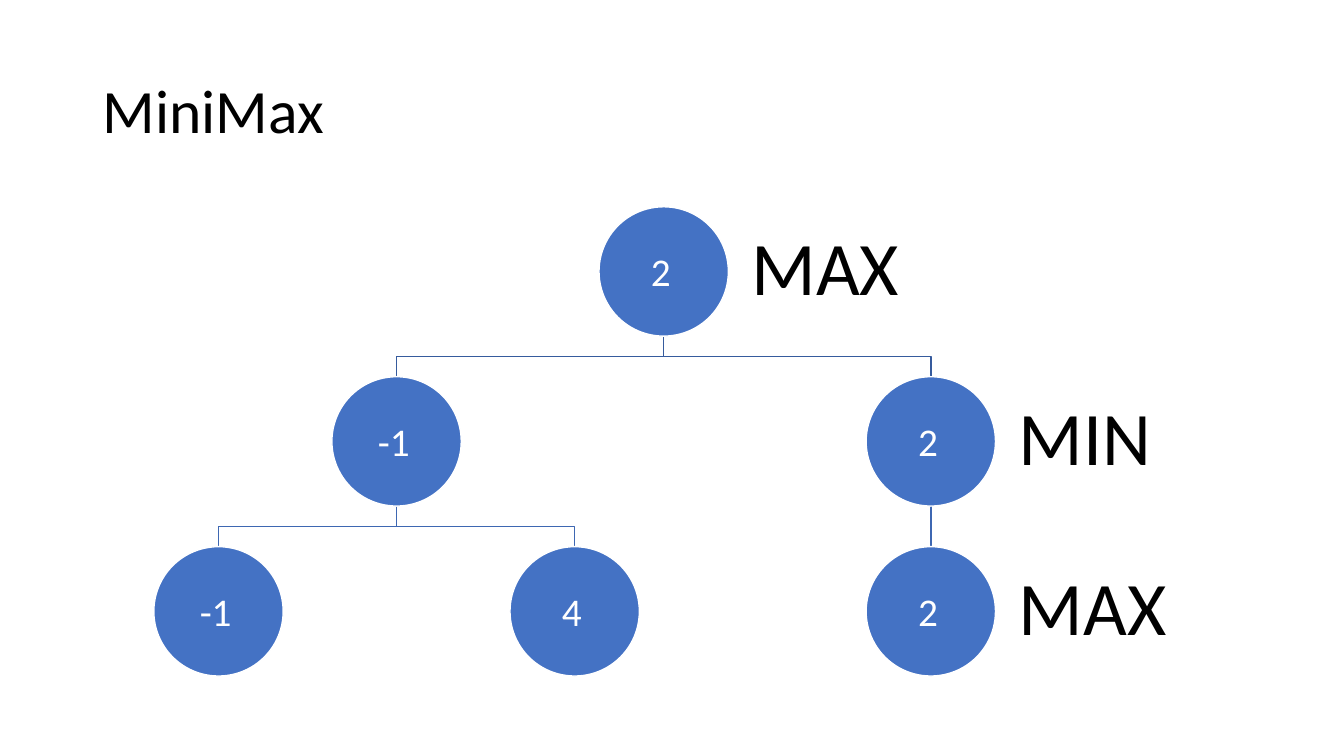
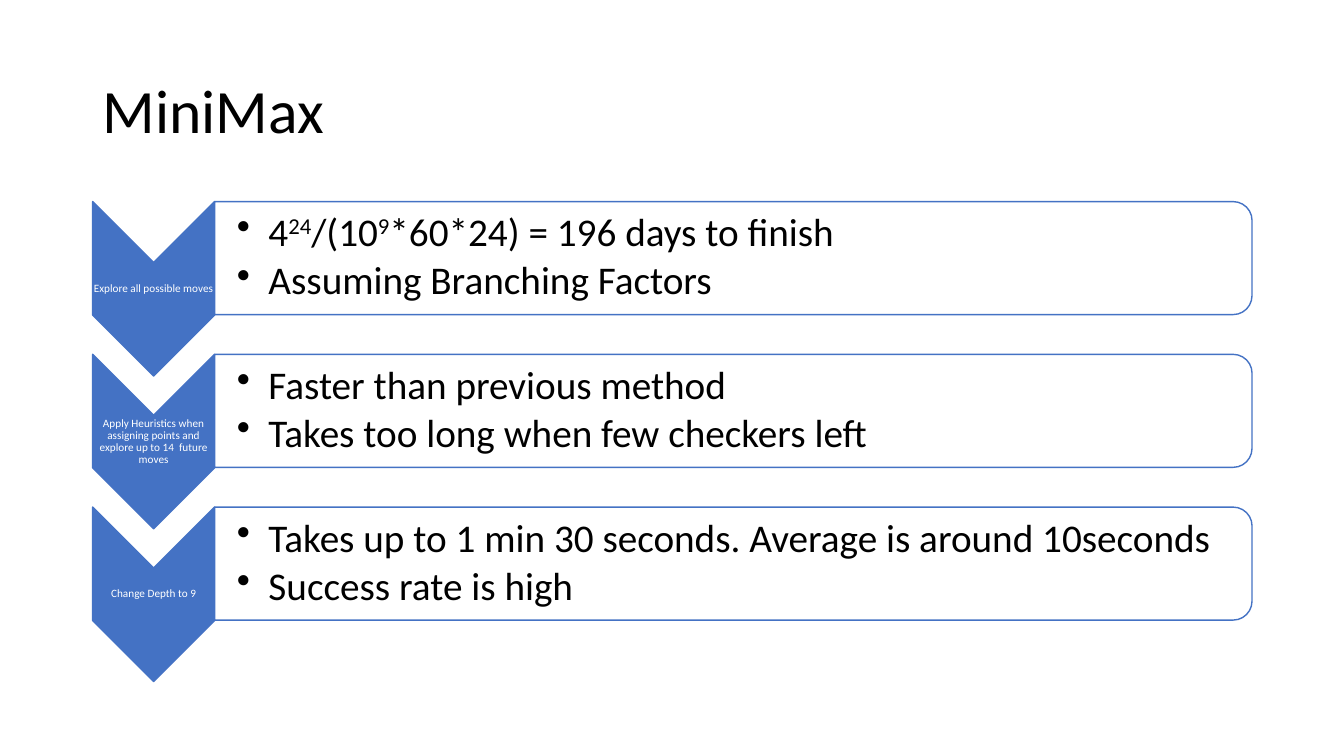
from pptx import Presentation
from pptx import util as u
from pptx.dml.color import RGBColor
from pptx.enum import shapes, text
from pptx.oxml import parse_xml
from pptx.oxml.ns import nsdecls

Pt = u.Pt
FONT = "Calibri"
COLORS = {
    "ink": "000000",
    "paper": "FFFFFF",
    "accent": "4472C4",
    "edge_top": "365B9D",
    "edge_low": "3E67B2",
}

# Tree grid: circle centres sit at multiples of one column unit
CIRCLE = 92.4
COL_X, COL_STEP = 156.1, 127.2
ROW_Y, ROW_STEP = 147.7, 121.4
NODES = {  # name: (column, row, value)
    "root": (2.5, 0, "2"),
    "left": (1, 1, "-1"),
    "right": (4, 1, "2"),
    "left_a": (0, 2, "-1"),
    "left_b": (2, 2, "4"),
    "right_a": (4, 2, "2"),
}
EDGES = [("root", "left"), ("root", "right"), ("left", "left_a"),
         ("left", "left_b"), ("right", "right_a")]
LEVELS = [("root", "MAX"), ("right", "MIN"), ("right_a", "MAX")]

# Step list: each line is a list of (text, is superscript)
CHEVRON_X, CHEVRON_W, CHEVRON_H = 66.2, 87.1, 124.6
STEP_Y, STEP_PITCH = 144, 109.1
PANEL_W, PANEL_H = 741, 80.7
STEPS = [
    ("Explore all possible moves",
     [[("4", False), ("24", True), ("/(10", False), ("9", True),
       ("*60*24) = 196 days to finish", False)],
      [("Assuming Branching Factors", False)]]),
    ("Apply Heuristics when assigning points and explore up to 14  future moves",
     [[("Faster than previous method", False)],
      [("Takes too long when few checkers left", False)]]),
    ("Change Depth to 9",
     [[("Takes up to 1 min 30 seconds. Average is around 10seconds", False)],
      [("Success rate is high", False)]]),
]


def rgb(name):
    return RGBColor.from_string(COLORS[name])


def style_run(r, size, color):
    r.font.name, r.font.size = FONT, Pt(size)
    r.font.color.rgb = rgb(color)


def write(tf, words, size, color, align=text.PP_ALIGN.LEFT):
    tf.text = words
    tf.vertical_anchor = text.MSO_ANCHOR.MIDDLE
    p = tf.paragraphs[0]
    p.alignment, p.line_spacing = align, 0.9
    style_run(p.runs[0], size, color)


def add_title_slide(prs, title):
    s = prs.slides.add_slide(prs.slide_layouts[5])
    sp = s.shapes.title
    sp.left, sp.top, sp.width, sp.height = Pt(66), Pt(28.75), Pt(828), Pt(104.4)
    write(sp.text_frame, title, 44, "ink")
    sp.text_frame.auto_size = text.MSO_AUTO_SIZE.NONE
    return s


def add_box(s, x, y, w, h, inset, left_inset=None):
    tf = s.shapes.add_textbox(Pt(x), Pt(y), Pt(w), Pt(h)).text_frame
    tf.word_wrap = True
    tf.vertical_anchor = text.MSO_ANCHOR.MIDDLE
    tf.margin_top = tf.margin_right = tf.margin_bottom = Pt(inset)
    tf.margin_left = Pt(inset if left_inset is None else left_inset)
    return tf


def add_shape(s, kind, x, y, w, h, fill, line, turned=False):
    """Place a shape by its visible frame; turned shapes rotate by 90 degrees."""
    cx, cy = x + w / 2, y + h / 2
    if turned:
        w, h = h, w
    sp = s.shapes.add_shape(kind, Pt(cx - w / 2), Pt(cy - h / 2), Pt(w), Pt(h))
    sp.rotation = 90 if turned else 0
    sp.shadow.inherit = False
    sp.fill.solid()
    sp.fill.fore_color.rgb = rgb(fill)
    sp.line.color.rgb, sp.line.width = rgb(line), Pt(1)
    return sp


# Tree parts
def node_pos(name):
    """Return the centre x and the top y of a node."""
    col, row, _ = NODES[name]
    return COL_X + col * COL_STEP, ROW_Y + row * ROW_STEP


def add_edge(s, parent, child):
    (x1, y1), (x2, y2) = node_pos(parent), node_pos(child)
    y1 += CIRCLE
    if x1 == x2:
        sp = s.shapes.add_connector(shapes.MSO_CONNECTOR.STRAIGHT,
                                    Pt(x1), Pt(y1), Pt(x2), Pt(y2))
        sp._element.spPr.append(parse_xml(f"<a:effectLst {nsdecls('a')}/>"))
    else:
        mid = (y1 + y2) / 2
        elbow = s.shapes.build_freeform(Pt(x1), Pt(y1))
        elbow.add_line_segments([(Pt(x), Pt(y)) for x, y in
                                 ((x1, mid), (x2, mid), (x2, y2))], close=False)
        sp = elbow.convert_to_shape()
        sp.fill.background()
        sp.shadow.inherit = False
    sp.line.color.rgb = rgb("edge_top" if parent == "root" else "edge_low")
    sp.line.width = Pt(1)


def add_node(s, name):
    x, y = node_pos(name)
    sp = add_shape(s, shapes.MSO_SHAPE.OVAL, x - CIRCLE / 2, y, CIRCLE, CIRCLE,
                   "accent", "paper")
    tf = sp.text_frame
    tf.margin_left = tf.margin_bottom = 0
    tf.margin_top = tf.margin_right = Pt(4)
    write(tf, NODES[name][2], 28, "paper", text.PP_ALIGN.CENTER)


def add_level_label(s, name, label):
    x, y = node_pos(name)
    tf = add_box(s, x + CIRCLE / 2, y, 139, CIRCLE, 16.6)
    write(tf, label, 54, "ink")


# Step list parts
def add_bullets(tf, lines):
    for i, line in enumerate(lines):
        p = tf.add_paragraph() if i else tf.paragraphs[0]
        p.line_spacing = 0.9
        p.space_after = Pt(0 if i == len(lines) - 1 else 4.2)
        pPr = p._p.get_or_add_pPr()
        pPr.set("marL", str(Pt(22.5)))
        pPr.set("indent", str(Pt(-22.5)))
        pPr.append(parse_xml(f'<a:buChar {nsdecls("a")} char="•"/>'))
        for words, raised in line:
            r = p.add_run()
            r.text = words
            style_run(r, 28, "ink")
            if raised:
                r._r.get_or_add_rPr().set("baseline", "30000")


def add_step(s, y, label, lines):
    add_shape(s, shapes.MSO_SHAPE.CHEVRON, CHEVRON_X, y, CHEVRON_W, CHEVRON_H,
              "accent", "accent", turned=True)
    tf = add_box(s, CHEVRON_X, y + CHEVRON_W / 2, CHEVRON_W,
                 CHEVRON_H - CHEVRON_W, 0.7)
    write(tf, label, 8, "paper", text.PP_ALIGN.CENTER)
    x = CHEVRON_X + CHEVRON_W
    add_shape(s, shapes.MSO_SHAPE.ROUND_2_SAME_RECTANGLE, x, y, PANEL_W, PANEL_H,
              "paper", "accent", turned=True)
    add_bullets(add_box(s, x, y + 4, PANEL_W - 4, PANEL_H - 8, 1.4, 16), lines)


def main():
    prs = Presentation()
    prs.slide_width, prs.slide_height = Pt(960), Pt(540)

    # Game tree
    s = add_title_slide(prs, "MiniMax")
    for parent, child in EDGES:
        add_edge(s, parent, child)
    for name in NODES:
        add_node(s, name)
    for name, label in LEVELS:
        add_level_label(s, name, label)

    # Search depth steps
    s = add_title_slide(prs, "MiniMax")
    for i, (label, lines) in enumerate(STEPS):
        add_step(s, STEP_Y + i * STEP_PITCH, label, lines)

    prs.save("out.pptx")


if __name__ == "__main__":
    main()
